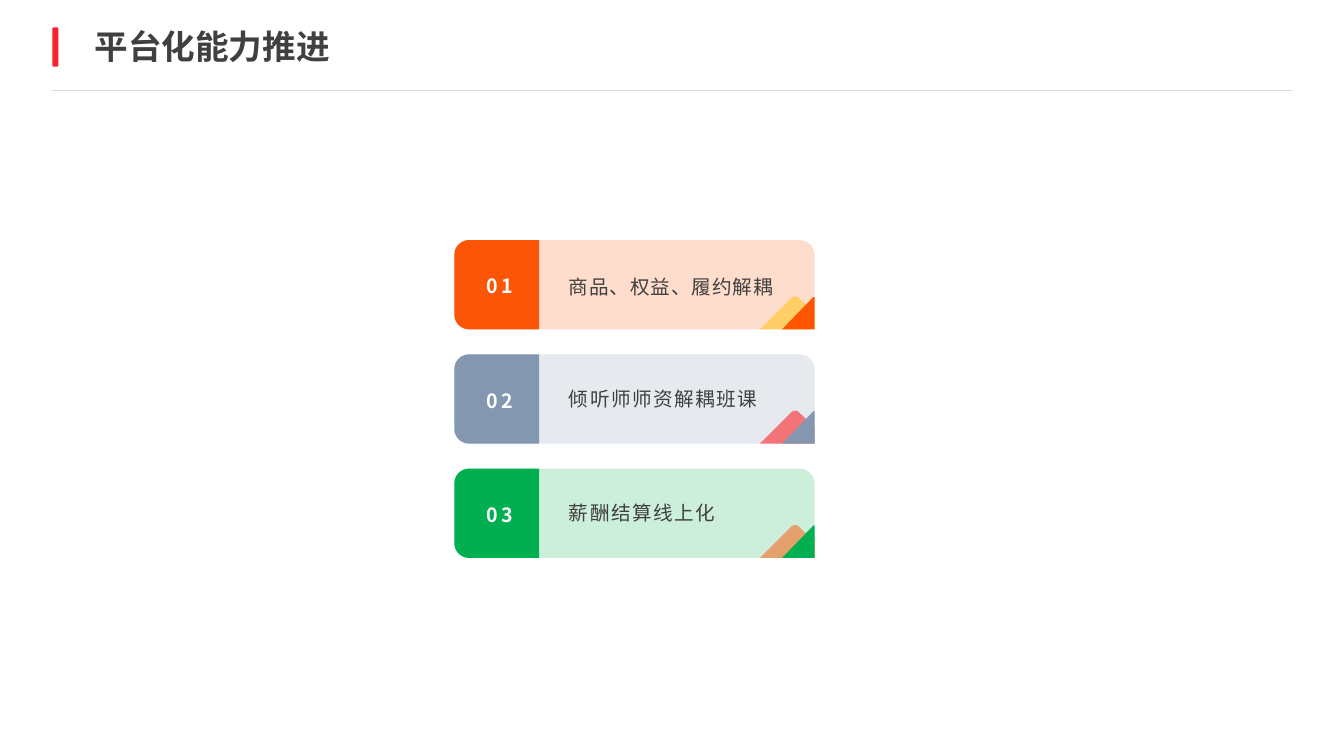
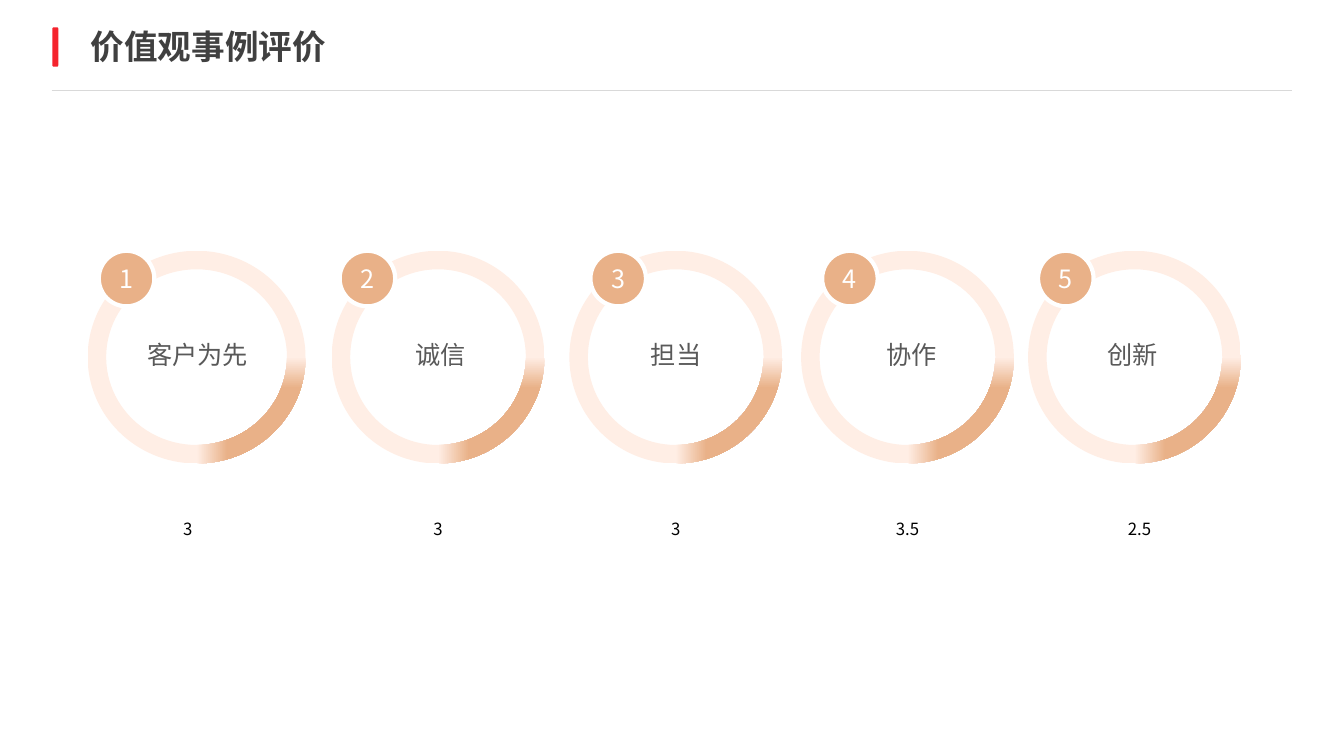
import math

from lxml import etree
from pptx import Presentation
from pptx.dml.color import RGBColor
from pptx.enum import shapes, text
from pptx.oxml import ns, parse_xml
from pptx.util import Cm, Pt

FONT = "Noto Sans CJK SC"
RED = RGBColor(0xF5, 0x23, 0x2D)
RULE_GREY = RGBColor(0xD9, 0xD9, 0xD9)
DARK_GREY = RGBColor(0x40, 0x40, 0x40)
MID_GREY = RGBColor(0x59, 0x59, 0x59)
WHITE = RGBColor(0xFF, 0xFF, 0xFF)
BLACK = RGBColor(0x00, 0x00, 0x00)
ORANGE = RGBColor(0xFF, 0x55, 0x00)
DEEP_ORANGE = RGBColor(0xFB, 0x55, 0x07)
AMBER = RGBColor(0xFF, 0xC0, 0x00)
SLATE = RGBColor(0x84, 0x97, 0xB0)
PURE_RED = RGBColor(0xFF, 0x00, 0x00)
GREEN = RGBColor(0x00, 0xB0, 0x50)
TAN = RGBColor(0xE9, 0xB1, 0x88)
PALE_TAN = RGBColor(0xFF, 0xEE, 0xE5)

CARDS = [
    ("商品、权益、履约解耦", ORANGE, DEEP_ORANGE, AMBER, 0.6, 1.2),
    ("倾听师师资解耦班课", SLATE, SLATE, PURE_RED, 1, 1),
    ("薪酬结算线上化", GREEN, GREEN, ORANGE, 1, 1),
]
CARD_LEFT, CARD_TOP, CARD_WIDTH, CARD_HEIGHT, CARD_PITCH = 11.45, 6.05, 9.08, 2.25, 2.88

# label, score, ring left, ring width, badge offset, label shift, score shift
RINGS = [
    ("客户为先", "3", 2.21, 5.49, 0.28, 0.03, -0.22),
    ("诚信", "3", 8.36, 5.36, 0.2, 0.06, 0),
    ("担当", "3", 14.35, 5.36, 0.53, 0.01, 0),
    ("协作", "3.5", 20.19, 5.36, 0.53, 0.11, 0),
    ("创新", "2.5", 25.91, 5.36, 0.25, -0.04, 0.13),
]
RING_TOP, RING_HEIGHT = 6.32, 5.36


def format_paragraph(paragraph, size, color, bold=False, align=text.PP_ALIGN.LEFT, spacing=0, line_spacing=None):
    """Set the alignment and the font of a paragraph."""
    paragraph.alignment = align
    if line_spacing:
        paragraph.line_spacing = line_spacing
    font = paragraph.font
    font.name, font.size, font.bold = FONT, Pt(size), bold
    font.color.rgb = color
    properties = paragraph._p.pPr.find(ns.qn("a:defRPr"))
    if spacing:
        properties.set("spc", str(round(spacing * 100)))
    properties.find(ns.qn("a:latin")).addnext(etree.Element(ns.qn("a:ea"), typeface=FONT))


def add_text(slide, box, words, size, color, anchor=text.MSO_ANCHOR.TOP, **style):
    """Add a wrapped text box at a box given in centimetres."""
    frame = slide.shapes.add_textbox(*map(Cm, box)).text_frame
    frame.word_wrap = True
    frame.vertical_anchor = anchor
    frame.text = words
    format_paragraph(frame.paragraphs[0], size, color, **style)


def paint(shape, color, opacity=None):
    """Give a shape a flat fill without line or shadow."""
    shape.shadow.inherit = False
    shape.line.fill.background()
    shape.fill.solid()
    shape.fill.fore_color.rgb = color
    if opacity:
        fill_color = shape.element.spPr.find(".//" + ns.qn("a:srgbClr"))
        etree.SubElement(fill_color, ns.qn("a:alpha"), val=str(opacity * 1000))
    return shape


def add_shape(slide, kind, box, color, opacity=None):
    """Add a flat preset shape at a box given in centimetres."""
    return paint(slide.shapes.add_shape(kind, *map(Cm, box)), color, opacity)


def arc(center_x, center_y, radius, start, end, steps=12):
    """Return points along an arc, with angles in degrees."""
    angles = [math.radians(start + (end - start) * step / steps) for step in range(steps + 1)]
    return [(center_x + radius * math.cos(angle), center_y + radius * math.sin(angle)) for angle in angles]


def add_outline(slide, points, color, opacity=None):
    """Add a closed flat outline through points in centimetres."""
    first, *others = [(Cm(x), Cm(y)) for x, y in points]
    builder = slide.shapes.build_freeform(*first)
    builder.add_line_segments(others, close=True)
    return paint(builder.convert_to_shape(), color, opacity)


def add_frame(slide):
    """Place the red bar and the header rule on the layout of a slide."""
    rule = slide.shapes.add_connector(shapes.MSO_CONNECTOR.STRAIGHT, Cm(1.3), Cm(2.29), Cm(32.56), Cm(2.29))
    rule.line.color.rgb = RULE_GREY
    rule.line.width = Pt(0.75)
    etree.SubElement(rule.element.spPr, ns.qn("a:effectLst"))
    bar = add_shape(slide, shapes.MSO_SHAPE.ROUNDED_RECTANGLE, (1.32, 0.69, 0.15, 0.99), RED)
    bar.adjustments[0] = 0.22
    for shape in (rule, bar):
        slide.slide_layout.shapes.element.append(shape.element)


def add_titled_slide(presentation, title, left):
    """Add a title-only slide and format its title."""
    slide = presentation.slides.add_slide(presentation.slide_layouts[5])
    placeholder = slide.shapes.title
    placeholder.left, placeholder.top, placeholder.width, placeholder.height = map(Cm, (left, 0.52, 19.76, 1.3))
    frame = placeholder.text_frame
    frame.text = title
    frame.vertical_anchor = text.MSO_ANCHOR.MIDDLE
    format_paragraph(frame.paragraphs[0], 24, DARK_GREY, bold=True)
    return slide


def add_card(slide, box, number, card):
    """Add a numbered card with a decorated lower right corner."""
    label, color, block_color, accent, spacing, line_spacing = card
    left, top, width, height = box
    right, bottom = left + width, top + height
    radius = height / 6
    block_right = left + 2.14
    add_shape(slide, shapes.MSO_SHAPE.ROUNDED_RECTANGLE, box, color, 20)

    peak = arc(right - 0.49, bottom - 0.69, 0.14, 225, 315)
    add_outline(slide, [(right - 1.38, bottom), *peak, (right, bottom - 0.4), (right, bottom)], accent, 50)
    tip = arc(right, bottom - 0.76, 0.06, 225, 270)
    add_outline(slide, [(right - 0.82, bottom), *tip, (right, bottom)], color)

    corners = arc(left + radius, bottom - radius, radius, 90, 180) + arc(left + radius, top + radius, radius, 180, 270)
    add_outline(slide, [(block_right, top), (block_right, bottom), *corners], block_color)

    add_text(slide, (left + 2.64, top + 0.08, 5.69, 2.06), label, 14, DARK_GREY,
             anchor=text.MSO_ANCHOR.MIDDLE, spacing=spacing, line_spacing=line_spacing)
    add_text(slide, (left + 0.23, top + 0.38, 1.83, 1.55), f"{number:02}", 14, WHITE,
             anchor=text.MSO_ANCHOR.MIDDLE, bold=True, align=text.PP_ALIGN.CENTER, spacing=2)


def fill_corner_gradient(shape):
    """Fill a shape with a gradient that starts at its lower right corner."""
    stops = "".join(
        f'<a:gs pos="{position * 1000}"><a:srgbClr val="{color}"/></a:gs>'
        for position, color in ((0, TAN), (71, TAN), (100, PALE_TAN))
    )
    gradient = parse_xml(
        f'<a:gradFill {ns.nsdecls("a")} rotWithShape="1"><a:gsLst>{stops}</a:gsLst>'
        '<a:path path="rect"><a:fillToRect l="100000" t="100000"/></a:path></a:gradFill>'
    )
    properties = shape.element.spPr
    properties.replace(properties.find(ns.qn("a:solidFill")), gradient)


def add_ring(slide, box, number, label, score, badge_offset, label_shift, score_shift):
    """Add a ring with its numbered badge, label and score."""
    left, top, width, height = box
    center = left + width / 2
    ring = add_shape(slide, shapes.MSO_SHAPE.DONUT, box, PALE_TAN)
    ring.adjustments[0] = 0.087
    fill_corner_gradient(ring)

    badge = add_shape(slide, shapes.MSO_SHAPE.OVAL, (left + badge_offset, top, 1.4, 1.4), TAN)
    badge.line.color.rgb = WHITE
    badge.line.width = Pt(3)
    frame = badge.text_frame
    frame.margin_left = frame.margin_right = frame.margin_top = frame.margin_bottom = 0
    frame.vertical_anchor = text.MSO_ANCHOR.MIDDLE
    frame.text = str(number)
    format_paragraph(frame.paragraphs[0], 18, WHITE, align=text.PP_ALIGN.CENTER)

    add_text(slide, (center + label_shift - 2.92, top + 1.73, 5.84, 1.27), label, 18, MID_GREY,
             align=text.PP_ALIGN.CENTER, line_spacing=1.5)
    add_text(slide, (center + score_shift - 2.5, top + 6.63, 5, 0.76), score, 12, BLACK,
             align=text.PP_ALIGN.CENTER)


def build_platform_slide(presentation):
    """Build the slide of stacked cards."""
    slide = add_titled_slide(presentation, "平台化能力推进", 2.13)
    add_frame(slide)
    for index, card in enumerate(CARDS):
        add_card(slide, (CARD_LEFT, CARD_TOP + index * CARD_PITCH, CARD_WIDTH, CARD_HEIGHT), index + 1, card)


def build_values_slide(presentation):
    """Build the slide of scored rings."""
    slide = add_titled_slide(presentation, "价值观事例评价", 2.03)
    for number, (label, score, left, width, *offsets) in enumerate(RINGS, 1):
        add_ring(slide, (left, RING_TOP, width, RING_HEIGHT), number, label, score, *offsets)


def main():
    """Build and save the presentation."""
    presentation = Presentation()
    presentation.slide_width, presentation.slide_height = Cm(33.87), Cm(19.05)
    build_platform_slide(presentation)
    build_values_slide(presentation)
    presentation.save("out.pptx")


if __name__ == "__main__":
    main()
